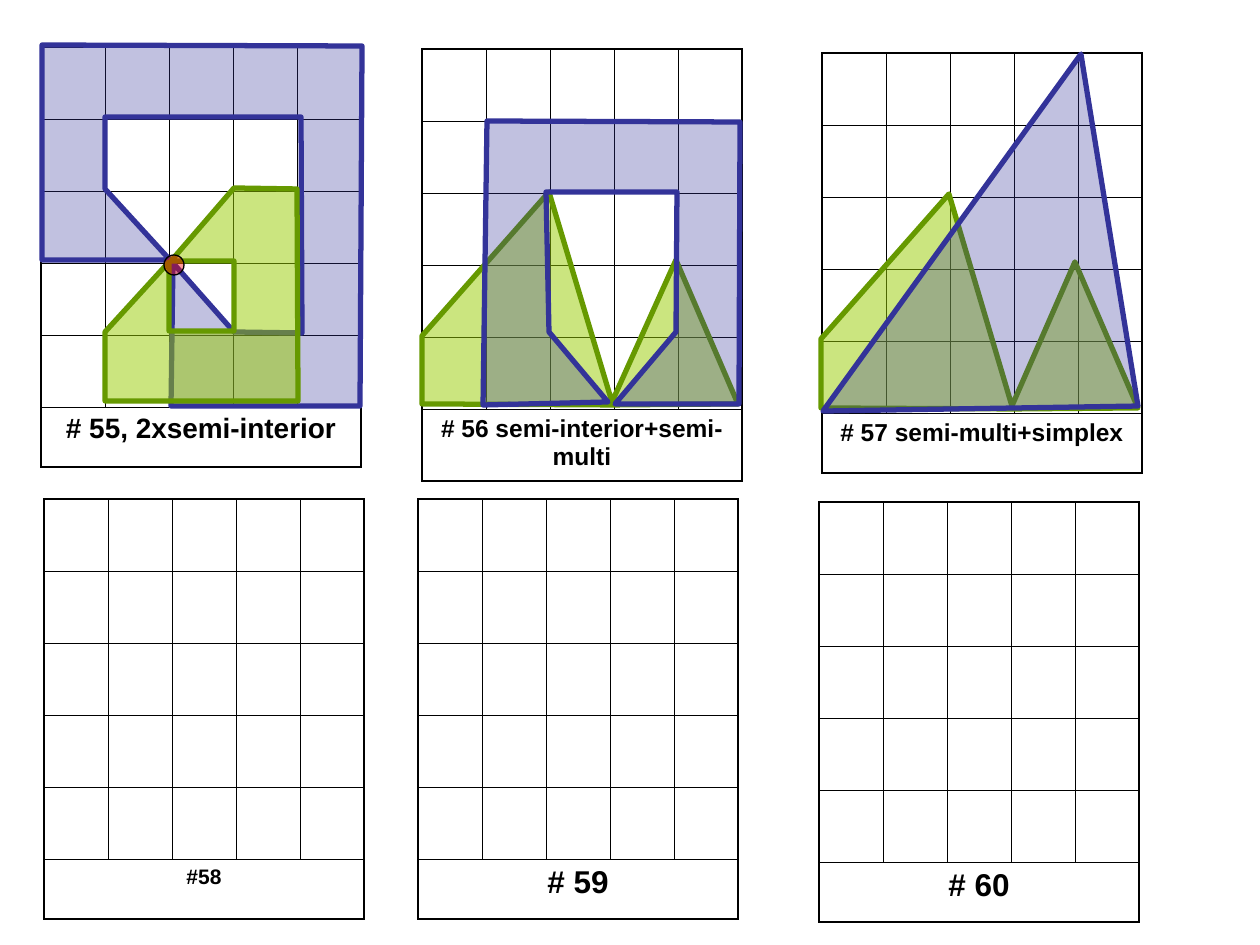
from itertools import product
from lxml import etree
from pptx import Presentation, util as u
from pptx.dml.color import RGBColor
from pptx.enum import shapes, text
from pptx.oxml import ns

PX = u.Inches(1) / 126
COLORS = {"ink": "000000", "blue": "333399", "green": "99CC00",
          "green_edge": "669900", "red": "FF0000"}
STYLES = {"blue": ("blue", 30, "blue"), "green": ("green", 50, "green_edge")}
COLUMNS, GRID_ROWS = 5, 5
CELL_WIDTH, CELL_HEIGHT = 64, 72
THIN, THICK = 0.45, 1.08

PANELS = [
    ("# 55, 2xsemi-interior", 41, 47, 60, 16),
    ("# 56 semi-interior+semi-multi", 422, 49, 72, 14),
    ("# 57 semi-multi+simplex", 822, 53, 60, 14),
    ("#58", 44, 499, 60, 12),
    ("# 59", 418, 499, 60, 18),
    ("# 60", 819, 502, 60, 18),
]

REGIONS_55 = [
    ("blue", [(360, 406), (171, 406), (173, 263), (234, 332), (302, 333), (301, 117),
              (105, 117), (105, 189), (170, 260), (42, 260), (42, 45), (362, 46)]),
    ("green", [(297, 189), (298, 401), (105, 401), (105, 332), (169, 262), (169, 331),
               (234, 331), (234, 261), (171, 261), (234, 188)]),
]
REGIONS_56_57 = [
    ("green", [(549, 192), (612, 402), (676, 260), (738, 404), (612, 405), (422, 404),
               (422, 336)]),
    ("blue", [(739, 404), (615, 404), (676, 332), (677, 192), (546, 192), (549, 332),
              (608, 402), (483, 405), (487, 121), (740, 122)]),
    ("green", [(949, 194), (1012, 406), (1075, 262), (1138, 408), (1012, 409), (821, 408),
               (821, 339)]),
    ("blue", [(1081, 54), (1138, 406), (823, 411)]),
]


def px(length):
    return u.Emu(round(length * PX))


def rgb(color):
    return RGBColor.from_string(COLORS[color])


def style_region(region, fill, opacity, edge, edge_width):
    region.shadow.inherit = False
    region.fill.solid()
    region.fill.fore_color.rgb = rgb(fill)
    tint = region.fill._xPr.find(".//" + ns.qn("a:srgbClr"))
    etree.SubElement(tint, ns.qn("a:alpha"), val=str(opacity * 1000))
    region.line.color.rgb = rgb(edge)
    region.line.width = u.Pt(edge_width)


def add_region(slide, style, corners):
    outline = slide.shapes.build_freeform(*corners[0], scale=PX)
    outline.add_line_segments(corners[1:], close=True)
    style_region(outline.convert_to_shape(), *STYLES[style], 3)


def add_node(slide, left, top, diameter):
    node = slide.shapes.add_shape(shapes.MSO_SHAPE.OVAL, px(left), px(top),
                                  px(diameter), px(diameter))
    style_region(node, "red", 40, "ink", 0.74)


def set_borders(cell, widths):
    properties = cell._tc.get_or_add_tcPr()
    for index, (side, width) in enumerate(zip("LRTB", widths)):
        border = etree.Element(ns.qn("a:ln" + side), w=str(u.Pt(width)))
        solid = etree.SubElement(border, ns.qn("a:solidFill"))
        etree.SubElement(solid, ns.qn("a:srgbClr"), val=COLORS["ink"])
        properties.insert(index, border)


def add_panel(slide, caption, left, top, caption_height, size):
    frame = slide.shapes.add_table(
        GRID_ROWS + 1, COLUMNS, px(left), px(top), px(COLUMNS * CELL_WIDTH),
        px(GRID_ROWS * CELL_HEIGHT + caption_height))
    grid = frame.table
    grid.first_row = grid.horz_banding = False
    for column in grid.columns:
        column.width = px(CELL_WIDTH)
    for row in grid.rows:
        row.height = px(CELL_HEIGHT)
    grid.rows[GRID_ROWS].height = px(caption_height)
    for row, column in product(range(GRID_ROWS + 1), range(COLUMNS)):
        cell = grid.cell(row, column)
        is_caption = row == GRID_ROWS
        edges = (column == 0 or is_caption, column == COLUMNS - 1 or is_caption,
                 row == 0, is_caption)
        cell.fill.background()
        set_borders(cell, [THICK if edge else THIN for edge in edges])
    label = grid.cell(GRID_ROWS, 0)
    label.merge(grid.cell(GRID_ROWS, COLUMNS - 1))
    label.text = caption
    paragraph = label.text_frame.paragraphs[0]
    paragraph.alignment = text.PP_ALIGN.CENTER
    paragraph.space_before = u.Pt(size / 4)
    paragraph.font.name = "Arial"
    paragraph.font.size = u.Pt(size)
    paragraph.font.bold = True
    paragraph.font.color.rgb = rgb("ink")


def main():
    deck = Presentation()
    deck.slide_width, deck.slide_height = u.Inches(10), u.Inches(7.5)
    slide = deck.slides.add_slide(deck.slide_layouts[6])
    for panel in PANELS:
        add_panel(slide, *panel)
    for region in REGIONS_55:
        add_region(slide, *region)
    add_node(slide, 164, 255, 20)
    for region in REGIONS_56_57:
        add_region(slide, *region)
    deck.save("out.pptx")


main()
